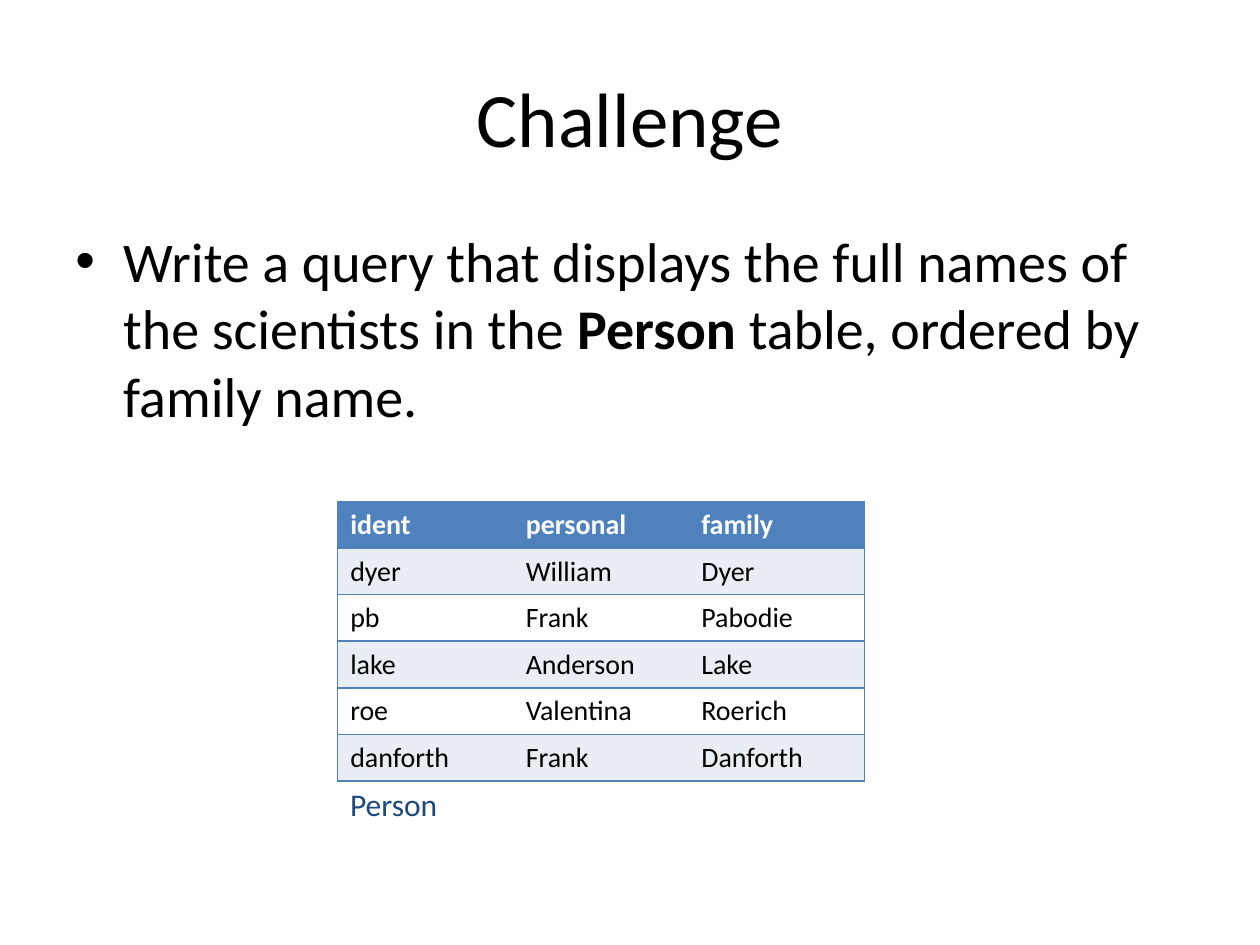
from lxml.etree import SubElement
from pptx import Presentation
from pptx.dml.color import RGBColor
from pptx.enum.text import MSO_ANCHOR, PP_ALIGN
from pptx.oxml.ns import qn
from pptx.util import Inches, Pt

BLUE, PALE, WHITE, BLACK, NAVY = "4F81BD", "E9EDF4", "FFFFFF", "000000", "1F497D"


def style(paragraph, size, color, bold=False):
    """Set the font of a whole paragraph."""
    font = paragraph.font
    font.name, font.size, font.bold = "Calibri", Pt(size), bold
    font.color.rgb = RGBColor.from_string(color)


def add_border(cell, side, color=None):
    """Draw one cell border, or hide it when no color is given."""
    line = SubElement(cell._tc.get_or_add_tcPr(), qn(f"a:ln{side}"), w=str(Pt(1)))
    fill = SubElement(line, qn("a:solidFill" if color else "a:noFill"))
    if color:
        SubElement(fill, qn("a:srgbClr"), val=color)


prs = Presentation()
prs.slide_width, prs.slide_height = Inches(10), Inches(7.5)
slide = prs.slides.add_slide(prs.slide_layouts[5])
margin, content_width = Inches(0.5), Inches(9)

title = slide.shapes.title
title.left, title.top, title.width, title.height = margin, Inches(0.3), content_width, Inches(1.25)
title.text_frame.text = "Challenge"
title.text_frame.vertical_anchor = MSO_ANCHOR.MIDDLE
heading = title.text_frame.paragraphs[0]
heading.alignment = PP_ALIGN.CENTER
style(heading, 44, BLACK)

task = slide.shapes.add_textbox(margin, Inches(1.75), content_width, Inches(4.95)).text_frame
task.word_wrap = True
question = task.paragraphs[0]
question.space_before = Pt(6.4)
style(question, 32, BLACK)
for words, bold in (
    ("Write a query that displays the full names of the scientists in the ", False),
    ("Person", True),
    (" table, ordered by family name.", False),
):
    run = question.add_run()
    run.text = words
    if bold:
        run.font.bold = True
bullet = question._p.get_or_add_pPr()
bullet.set("marL", str(Inches(0.38)))
bullet.set("indent", str(-Inches(0.38)))
font_props = bullet.find(qn("a:defRPr"))
for tag, attribute, value in (("a:buFont", "typeface", "Arial"), ("a:buChar", "char", "•")):
    mark = SubElement(bullet, qn(tag), {attribute: value})
    font_props.addprevious(mark)

people = [
    ("ident", "personal", "family"),
    ("dyer", "William", "Dyer"),
    ("pb", "Frank", "Pabodie"),
    ("lake", "Anderson", "Lake"),
    ("roe", "Valentina", "Roerich"),
    ("danforth", "Frank", "Danforth"),
]
row_count, column_count = len(people), len(people[0])
left, top, width, height = Inches(2.68), Inches(3.98), Inches(4.18), Inches(2.24)
person_table = slide.shapes.add_table(row_count, column_count, left, top, width, height).table
for row, person in enumerate(people):
    person_table.rows[row].height = Inches(0.37)
    is_header = row == 0
    for column, value in enumerate(person):
        cell = person_table.cell(row, column)
        cell.text = value
        style(cell.text_frame.paragraphs[0], 16, WHITE if is_header else BLACK, is_header)
        add_border(cell, "L", BLUE if column == 0 else None)
        add_border(cell, "R", BLUE if column == column_count - 1 else None)
        add_border(cell, "T", BLUE)
        add_border(cell, "B", BLUE)
        cell.fill.solid()
        color = BLUE if is_header else PALE if row % 2 else WHITE
        cell.fill.fore_color.rgb = RGBColor.from_string(color)

caption = slide.shapes.add_textbox(left, Inches(6.18), Inches(0.91), Inches(0.4)).text_frame
caption.word_wrap = False
caption.text = "Person"
style(caption.paragraphs[0], 18, NAVY)

prs.save("out.pptx")
